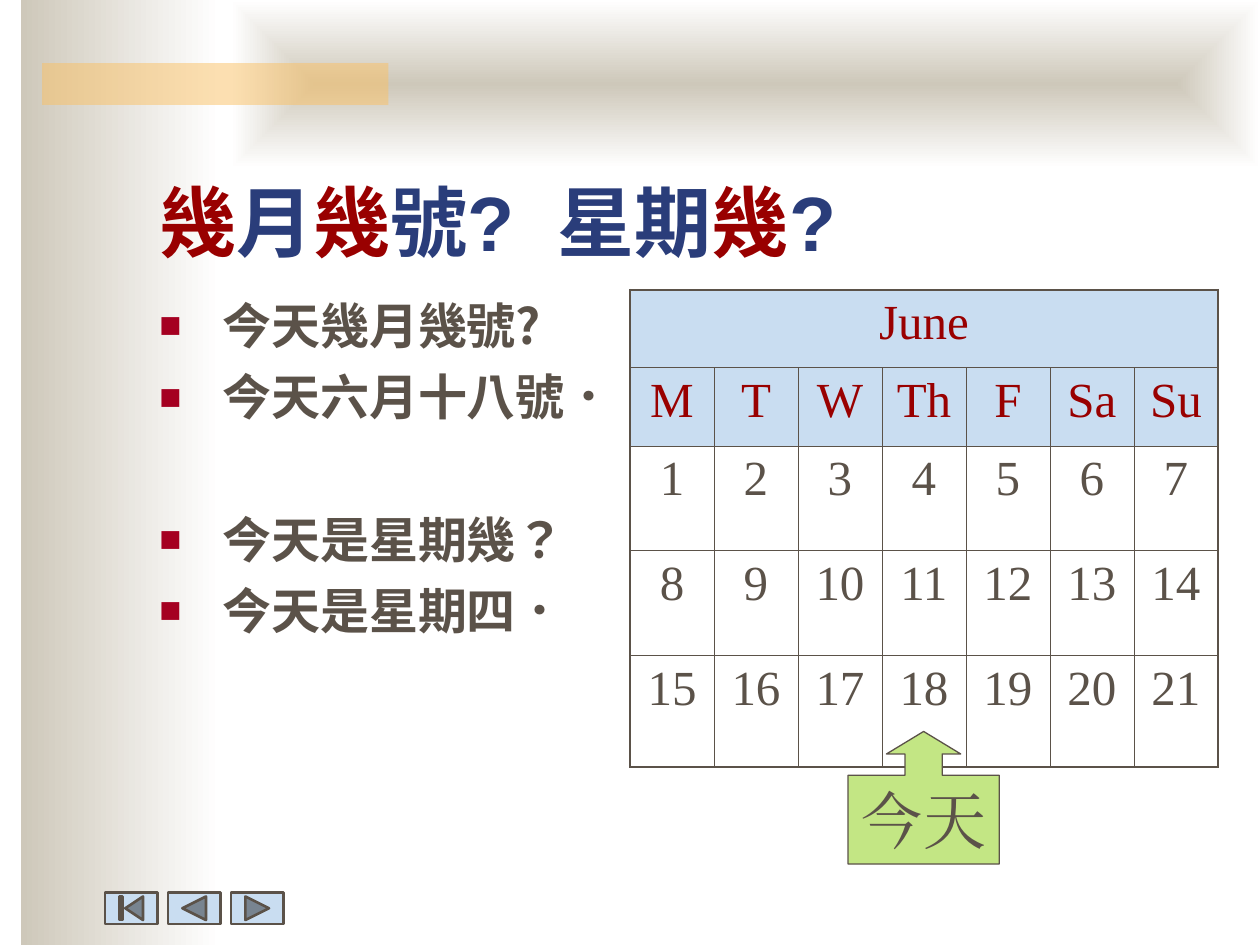
from lxml import etree
from pptx import Presentation
from pptx import util as u
from pptx.dml.color import RGBColor
from pptx.enum import shapes, text
from pptx.oxml.ns import qn

Pt = u.Pt
COLORS = {
    "ink": "5B5249", "red": "990000", "navy": "2A3D7A", "bullet": "A50021",
    "sand": "CEC8BA", "white": "FFFFFF", "amber": "FAC164",
    "sky": "C9DDF1", "lime": "C3E684",
}


def rgb(name):
    return RGBColor.from_string(COLORS[name])


def add_xml(parent, tag, **attrs):
    return etree.SubElement(parent, qn(tag), attrs)


class Deck:
    cjk = "Noto Sans CJK TC"
    serif = "Times New Roman"
    thin, thick = 0.45, 1.08

    def __init__(self):
        self.prs = Presentation()
        self.prs.slide_width, self.prs.slide_height = Pt(720), Pt(540)
        self.s = self.prs.slides.add_slide(self.prs.slide_layouts[5])

    def font(self, r, size, face, color, bold=False):
        r.font.size, r.font.name, r.font.bold = Pt(size), face, bold
        r.font.color.rgb = rgb(color)

    def east_asian(self, sp, face):
        for rPr in sp.element.iter(qn("a:rPr")):
            rPr.set("lang", "zh-TW")
            add_xml(rPr, "a:ea", typeface=face)

    def shape(self, kind, box, fill=None, line=None):
        sp = self.s.shapes.add_shape(kind, *map(Pt, box))
        sp.shadow.inherit = False
        if fill:
            sp.fill.solid()
            sp.fill.fore_color.rgb = rgb(fill)
        if line:
            sp.line.color.rgb = rgb("ink")
            sp.line.width = Pt(line)
        else:
            sp.line.fill.background()
        return sp

    def gradient(self, box, centred=False):
        sp = self.shape(shapes.MSO_SHAPE.RECTANGLE, box)
        sp.fill.gradient()
        sp.fill.gradient_angle = 0
        for stop, pos, color in zip(sp.fill.gradient_stops, (0, 1), ("sand", "white")):
            stop.position = pos
            stop.color.rgb = rgb(color)
        if centred:
            lin = next(sp.element.iter(qn("a:lin")))
            grad = lin.getparent()
            grad.remove(lin)
            middle = dict.fromkeys("ltrb", "50000")
            add_xml(add_xml(grad, "a:path", path="rect"), "a:fillToRect", **middle)

    def bar(self, box, fill, opacity):
        sp = self.shape(shapes.MSO_SHAPE.RECTANGLE, box, fill)
        clr = next(sp.element.iter(qn("a:srgbClr")))
        add_xml(clr, "a:alpha", val=str(opacity * 1000))

    def title(self, box, parts):
        sp = self.s.shapes.title
        sp.element.getparent().append(sp.element)
        sp.left, sp.top, sp.width, sp.height = map(Pt, box)
        tf = sp.text_frame
        tf.vertical_anchor = text.MSO_ANCHOR.BOTTOM
        tf.auto_size = text.MSO_AUTO_SIZE.NONE
        p = tf.paragraphs[0]
        p.alignment = text.PP_ALIGN.LEFT
        for words, color in parts:
            r = p.add_run()
            r.text = words
            self.font(r, 44, "Arial", color, True)
        self.east_asian(sp, "Arial")

    def bullets(self, box, items):
        sp = self.s.shapes.add_textbox(*map(Pt, box))
        tf = sp.text_frame
        tf.word_wrap = True
        tf.text = "\n".join(words for words, _ in items)
        for p, (_, gap) in zip(tf.paragraphs, items):
            p.space_before, p.line_spacing = Pt(gap), Pt(33.6)
            self.font(p.runs[0], 28, self.cjk, "ink", True)
        for pPr in sp.element.iter(qn("a:pPr")):
            pPr.set("marL", str(Pt(36)))
            pPr.set("indent", str(-Pt(36)))
            add_xml(add_xml(pPr, "a:buClr"), "a:srgbClr", val=COLORS["bullet"])
            add_xml(pPr, "a:buSzPct", val="75000")
            add_xml(pPr, "a:buFont", typeface="Arial")
            add_xml(pPr, "a:buChar", char="■")
        self.east_asian(sp, self.cjk)

    def calendar(self, left, top, col_width, heights, rows):
        n, m = len(rows), len(rows[-1])
        frame = self.s.shapes.add_table(
            n, m, Pt(left), Pt(top), Pt(col_width * m), Pt(sum(heights)))
        tbl = frame.table
        tbl.first_row = tbl.horz_banding = False
        for col in tbl.columns:
            col.width = Pt(col_width)
        for row, height in zip(tbl.rows, heights):
            row.height = Pt(height)
        tbl.cell(0, 0).merge(tbl.cell(0, m - 1))
        for i, values in enumerate(rows):
            for j in range(m):
                cell = tbl.cell(i, j)
                if i < 2:
                    cell.fill.solid()
                    cell.fill.fore_color.rgb = rgb("sky")
                else:
                    cell.fill.background()
                if j < len(values):
                    p = cell.text_frame.paragraphs[0]
                    p.text = str(values[j])
                    p.alignment, p.space_before = text.PP_ALIGN.CENTER, Pt(7)
                    self.font(p.runs[0], 28, self.serif, "red" if i < 2 else "ink")
        for k, tcPr in enumerate(frame.element.iter(qn("a:tcPr"))):
            i, j = divmod(k, m)
            outer = (j == 0, j == m - 1 or i == 0, i == 0, i == n - 1)
            for pos, (side, edge) in enumerate(zip("LRTB", outer)):
                width = Pt(self.thick if edge else self.thin)
                ln = add_xml(tcPr, f"a:ln{side}", w=str(width))
                add_xml(add_xml(ln, "a:solidFill"), "a:srgbClr", val=COLORS["ink"])
                tcPr.insert(pos, ln)

    def callout(self, box, adjustments, words):
        sp = self.shape(shapes.MSO_SHAPE.UP_ARROW_CALLOUT, box, "lime", 0.75)
        for i, value in enumerate(adjustments):
            sp.adjustments[i] = value
        tf = sp.text_frame
        tf.text = words
        tf.word_wrap = False
        tf.vertical_anchor = text.MSO_ANCHOR.MIDDLE
        p = tf.paragraphs[0]
        p.alignment = text.PP_ALIGN.CENTER
        self.font(p.runs[0], 36, self.serif, "ink")
        self.east_asian(sp, self.serif)


def main():
    d = Deck()
    d.gradient((12, 0, 114, 540))
    d.gradient((132, 0, 588, 96), centred=True)
    d.bar((24, 36, 198, 24), "amber", 50)
    kinds = shapes.MSO_SHAPE
    buttons = (kinds.ACTION_BUTTON_BEGINNING, kinds.ACTION_BUTTON_BACK_OR_PREVIOUS,
               kinds.ACTION_BUTTON_FORWARD_OR_NEXT)
    for i, kind in enumerate(buttons):
        d.shape(kind, (60 + 36 * i, 510, 30, 18), "sky", 1.5)
    d.title((84, 66, 612, 90), [
        ("幾", "red"), ("月", "navy"), ("幾", "red"),
        ("號?  星期", "navy"), ("幾", "red"), ("?", "navy")])
    d.bullets((84, 165.6, 252, 324), [
        ("今天幾月幾號?", 7), ("今天六月十八號．", 7),
        ("今天是星期幾？", 48), ("今天是星期四．", 7)])
    weeks = [range(first, first + 7) for first in (1, 8, 15)]
    d.calendar(360, 165.6, 48, (44.6, 44.6, 60, 60, 63.4),
               [["June"], ["M", "T", "W", "Th", "F", "Sa", "Su"], *weeks])
    d.callout((484.6, 418, 86.4, 75.8), (0.28, 0.28, 0.17, 0.67), "今天")
    d.prs.save("out.pptx")


if __name__ == "__main__":
    main()
